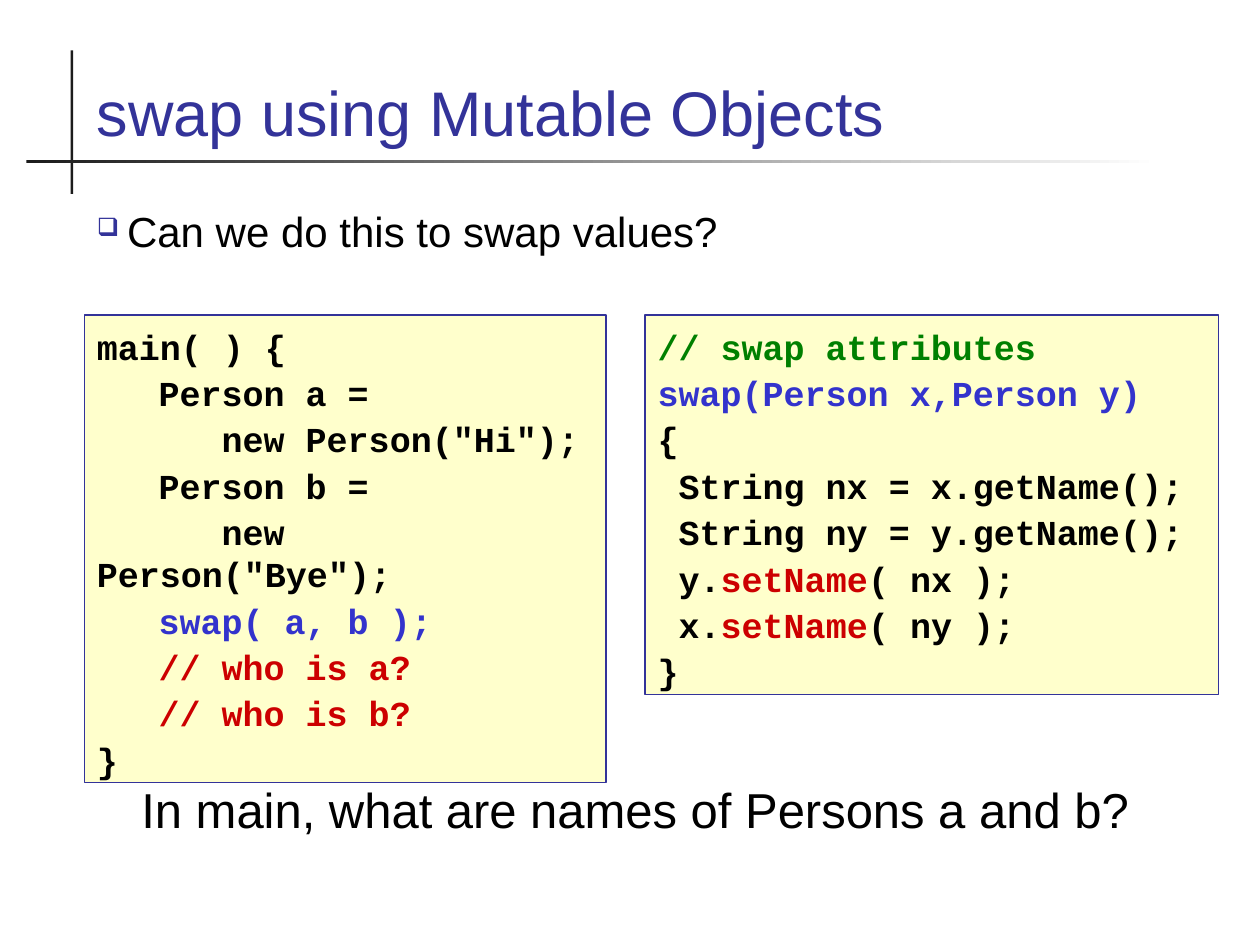
from dataclasses import dataclass

from lxml import etree
from pptx import Presentation
from pptx.dml.color import RGBColor
from pptx.enum.shapes import MSO_SHAPE
from pptx.enum.text import MSO_ANCHOR, MSO_AUTO_SIZE, PP_ALIGN
from pptx.oxml.ns import qn
from pptx.util import Inches, Pt

RECTANGLE = MSO_SHAPE.RECTANGLE
TOP, BOTTOM = MSO_ANCHOR.TOP, MSO_ANCHOR.BOTTOM
LEFT, CENTER = PP_ALIGN.LEFT, PP_ALIGN.CENTER
GROW = MSO_AUTO_SIZE.SHAPE_TO_FIT_TEXT


@dataclass(frozen=True)
class Theme:
    """Colours, fonts and type sizes of the slide."""
    navy: str = "333399"
    ink: str = "000000"
    rule: str = "1C1C1C"
    paper: str = "FFFFFF"
    panel: str = "FFFFCC"
    call: str = "3333CC"
    alert: str = "CC0000"
    comment: str = "008000"
    sans: str = "Arial"
    mono: str = "Courier New"
    title: int = 36
    body: int = 24
    code: int = 20
    question: int = 28


THEME = Theme()

MAIN_CODE = [
    [("main( ) {", THEME.ink)],
    [("\tPerson a =", THEME.ink)],
    [("\t   new Person(\"Hi\");", THEME.ink)],
    [("\tPerson b =", THEME.ink)],
    [("\t   new Person(\"Bye\");", THEME.ink)],
    [("\t", THEME.ink), ("swap( a, b );", THEME.call)],
    [("\t", THEME.ink), ("// who is a?", THEME.alert)],
    [("\t// who is b?", THEME.alert)],
    [("}", THEME.ink)],
]

SWAP_CODE = [
    [("// swap attributes", THEME.comment)],
    [("swap(Person x,Person y)", THEME.call)],
    [("{", THEME.ink)],
    [(" String nx = x.getName();", THEME.ink)],
    [(" String ny = y.getName();", THEME.ink)],
    [(" y.", THEME.ink), ("setName", THEME.alert), ("( nx );", THEME.ink)],
    [(" x.", THEME.ink), ("setName", THEME.alert), ("( ny );", THEME.ink)],
    [("}", THEME.ink)],
]


def rgb(colour):
    """Turn a hex string into a colour."""
    return RGBColor.from_string(colour)


def prepare_frame(frame, anchor=TOP, top_inset=0.05):
    """Set wrapping, anchor and insets of a text frame."""
    frame.word_wrap = True
    frame.vertical_anchor = anchor
    frame.margin_left = frame.margin_right = Inches(0.1)
    frame.margin_top, frame.margin_bottom = Inches(top_inset), Inches(0.05)


def add_run(paragraph, text, size, colour, font=THEME.sans, bold=False):
    """Append one formatted run."""
    run = paragraph.add_run()
    run.text = text
    run.font.size = Pt(size)
    run.font.name = font
    run.font.bold = bold
    run.font.color.rgb = rgb(colour)


def add_line(slide, box, text, size, colour, align=LEFT, anchor=TOP, top_inset=0.05):
    """Place a one-paragraph text box and return its paragraph."""
    frame = slide.shapes.add_textbox(*map(Inches, box)).text_frame
    prepare_frame(frame, anchor, top_inset)
    paragraph = frame.paragraphs[0]
    paragraph.alignment = align
    add_run(paragraph, text, size, colour)
    return paragraph


def add_bullet(paragraph, character, colour, percent, indent):
    """Give a paragraph a hanging coloured bullet."""
    properties = paragraph._p.get_or_add_pPr()
    properties.set("marL", str(Inches(indent)))
    properties.set("indent", str(-Inches(indent)))
    bullet_colour = etree.SubElement(properties, qn("a:buClr"))
    etree.SubElement(bullet_colour, qn("a:srgbClr"), val=colour)
    etree.SubElement(properties, qn("a:buSzPct"), val=str(percent * 1000))
    etree.SubElement(properties, qn("a:buChar"), char=character)


def add_tab_stop(paragraph, position):
    """Add a left tab stop to a paragraph."""
    tabs = etree.SubElement(paragraph._p.get_or_add_pPr(), qn("a:tabLst"))
    etree.SubElement(tabs, qn("a:tab"), pos=str(Inches(position)), algn="l")


def add_panel(slide, box):
    """Place a rectangle without shadow or outline."""
    panel = slide.shapes.add_shape(RECTANGLE, *map(Inches, box))
    panel.shadow.inherit = False
    panel.line.fill.background()
    return panel


def add_crossed_rules(slide, box):
    """Draw the upright rule and the fading level rule behind the title."""
    left, top, width, height = box
    upright = add_panel(slide, (left + 0.35, top, 0.02, height))
    upright.fill.solid()
    upright.fill.fore_color.rgb = rgb(THEME.rule)
    level = add_panel(slide, (left, top + 0.87, width, 0.02))
    level.fill.gradient()
    level.fill.gradient_angle = 0
    for stop, colour in zip(level.fill.gradient_stops, (THEME.rule, THEME.paper)):
        stop.color.rgb = rgb(colour)


def add_code(slide, box, code):
    """Place a bordered code listing."""
    panel = add_panel(slide, box)
    panel.fill.solid()
    panel.fill.fore_color.rgb = rgb(THEME.panel)
    panel.line.color.rgb = rgb(THEME.navy)
    panel.line.width = Pt(0.75)
    frame = panel.text_frame
    prepare_frame(frame, top_inset=0.08)
    frame.auto_size = GROW
    for number, pieces in enumerate(code):
        paragraph = frame.add_paragraph() if number else frame.paragraphs[0]
        add_tab_stop(paragraph, 0.49)
        paragraph.alignment = LEFT
        paragraph.space_before = Pt(2.5 if number else 0)
        for text, colour in pieces:
            add_run(paragraph, text, THEME.code, colour, THEME.mono, True)


def add_heading(slide, box):
    """Place the title and the bulleted question under it."""
    left, top, width, height = box
    add_line(slide, (left, top, width, 0.95), "swap using Mutable Objects",
             THEME.title, THEME.navy, anchor=BOTTOM)
    prompt = add_line(slide, (left, top + 1.22, width, height - 1.22),
                      "Can we do this to swap values?",
                      THEME.body, THEME.ink, top_inset=0.13)
    add_bullet(prompt, "❑", THEME.navy, 60, 0.24)


def main():
    """Build and save the slide."""
    deck = Presentation()
    deck.slide_width, deck.slide_height = Inches(10), Inches(7.5)
    slide = deck.slides.add_slide(deck.slide_layouts[6])
    add_crossed_rules(slide, (0.21, 0.4, 8.99, 1.14))
    add_heading(slide, (0.67, 0.28, 8.66, 2.14))
    add_code(slide, (0.67, 2.5, 4.14, 3.71), MAIN_CODE)
    add_code(slide, (5.12, 2.5, 4.55, 3.01), SWAP_CODE)
    add_line(slide, (0.63, 6.14, 8.82, 0.57),
             "In main, what are names of Persons a and b?",
             THEME.question, THEME.ink, align=CENTER)
    deck.save("out.pptx")


if __name__ == "__main__":
    main()
